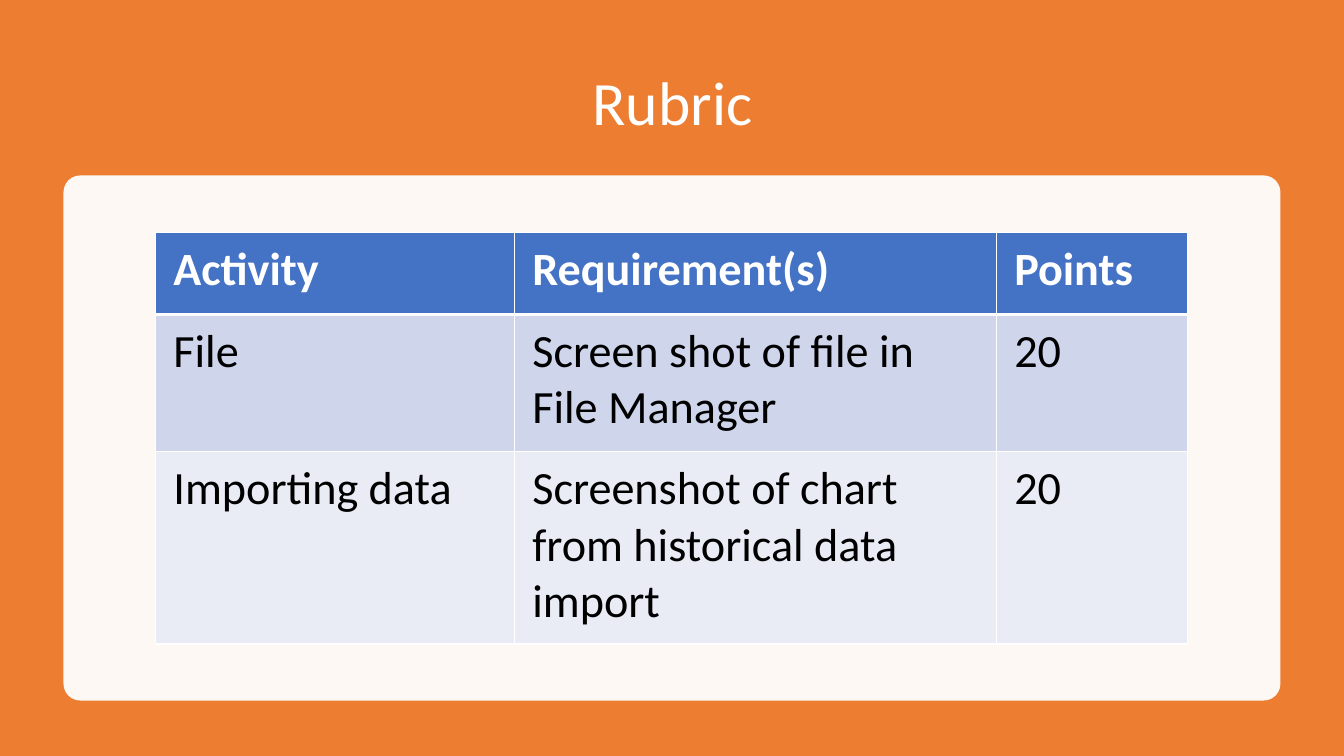
"""Build the rubric slide: a title above a table of activities, requirements and points."""
import dataclasses

import lxml.etree
import pptx
import pptx.dml.color
import pptx.enum.shapes
import pptx.enum.text
import pptx.oxml.ns
import pptx.util

Inches = pptx.util.Inches
Pt = pptx.util.Pt
qn = pptx.oxml.ns.qn


@dataclasses.dataclass(frozen=True)
class Theme:
    font: str = "Calibri"
    title_size: int = 44
    table_size: int = 33
    orange: str = "ED7D31"
    white: str = "FFFFFF"
    black: str = "000000"
    header: str = "4472C4"
    bands: tuple = ("CFD5EA", "E9EBF5")


theme = Theme()


def style_text(paragraph, size, color, bold=False):
    for run in paragraph.runs:
        run.font.name = theme.font
        run.font.size = Pt(size)
        run.font.bold = bold
        run.font.color.rgb = pptx.dml.color.RGBColor.from_string(color)


def add_panel(kind, left, top, width, height, color):
    panel = slide.shapes.add_shape(kind, Inches(left), Inches(top), Inches(width), Inches(height))
    panel.shadow.inherit = False
    panel.fill.solid()
    panel.fill.fore_color.rgb = pptx.dml.color.RGBColor.from_string(color)
    panel.line.fill.background()
    return panel


presentation = pptx.Presentation()
presentation.slide_width = Inches(13.33)
presentation.slide_height = Inches(7.5)
slide = presentation.slides.add_slide(presentation.slide_layouts[5])

backdrop = add_panel(pptx.enum.shapes.MSO_SHAPE.RECTANGLE, 0, 0, 13.33, 7.5, theme.orange)
slide.shapes.title._element.addprevious(backdrop._element)

title = slide.shapes.title
title.left, title.top, title.width, title.height = Inches(0.92), Inches(0.5), Inches(11.5), Inches(1.1)
title.text_frame.text = "Rubric"
title.text_frame.vertical_anchor = pptx.enum.text.MSO_ANCHOR.MIDDLE
heading = title.text_frame.paragraphs[0]
heading.alignment = pptx.enum.text.PP_ALIGN.CENTER
heading.line_spacing = 0.9
style_text(heading, theme.title_size, theme.white)

card = add_panel(pptx.enum.shapes.MSO_SHAPE.ROUNDED_RECTANGLE, 0.63, 1.74, 12.07, 5.21, theme.white)
card.adjustments[0] = 0.032
card_color = card._element.spPr.find(qn("a:solidFill")).find(qn("a:srgbClr"))
lxml.etree.SubElement(card_color, qn("a:alpha"), val="95000")

rubric_rows = [
    ("Activity", "Requirement(s)", "Points"),
    ("File", "Screen shot of file in File Manager", "20"),
    ("Importing data", "Screenshot of chart from historical data import", "20"),
]
column_widths = (3.56, 4.78, 1.9)
row_heights = (0.81, 1.36, 1.91)
rubric = slide.shapes.add_table(
    len(rubric_rows), len(column_widths), Inches(1.54), Inches(2.31),
    Inches(sum(column_widths)), Inches(sum(row_heights)),
).table
for column, width in zip(rubric.columns, column_widths):
    column.width = Inches(width)

for row_index, (entries, height) in enumerate(zip(rubric_rows, row_heights)):
    is_header = row_index == 0
    rubric.rows[row_index].height = Inches(height)
    row_fill = theme.header if is_header else theme.bands[row_index - 1]
    for column_index, entry in enumerate(entries):
        cell = rubric.cell(row_index, column_index)
        cell.text_frame.text = entry
        cell.margin_left = cell.margin_right = Inches(0.18)
        cell.margin_top = cell.margin_bottom = Inches(0.09)
        style_text(cell.text_frame.paragraphs[0], theme.table_size,
                   theme.white if is_header else theme.black, is_header)
        cell.fill.solid()
        cell.fill.fore_color.rgb = pptx.dml.color.RGBColor.from_string(row_fill)
        cell_properties = cell._tc.get_or_add_tcPr()
        for position, side in enumerate("LRTB"):
            header_rule = (row_index, side) in ((0, "B"), (1, "T"))
            border = lxml.etree.Element(qn(f"a:ln{side}"), w=str(Pt(3 if header_rule else 1)))
            border_fill = lxml.etree.SubElement(border, qn("a:solidFill"))
            lxml.etree.SubElement(border_fill, qn("a:srgbClr"), val=theme.white)
            cell_properties.insert(position, border)

presentation.save("out.pptx")
